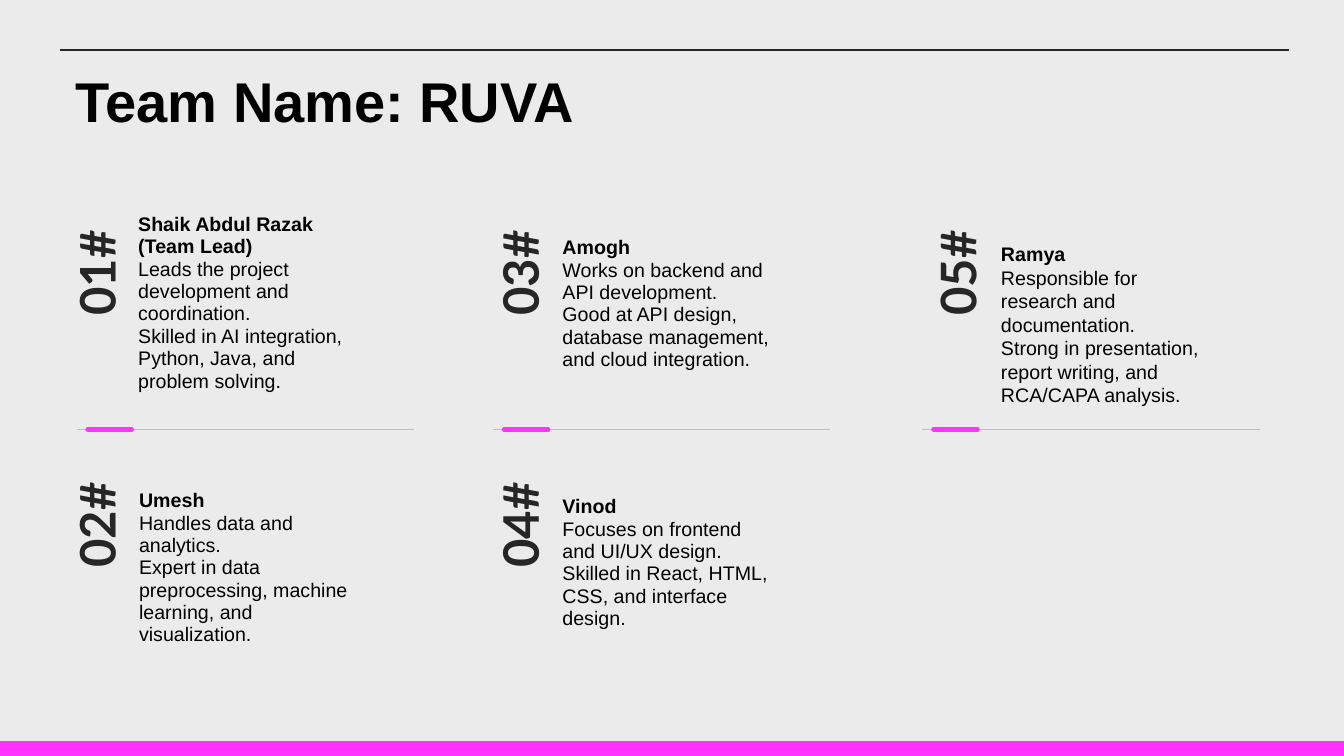
from dataclasses import dataclass

import pptx
import pptx.dml.color
import pptx.enum.dml
import pptx.enum.shapes
import pptx.enum.text
import pptx.oxml
import pptx.oxml.ns
import pptx.util
from lxml import etree


@dataclass(frozen=True)
class Theme:
    background: str = "EBEBEB"
    text: str = "000000"
    dark: str = "262626"
    rule: str = "BFBFBF"
    accent: str = "FF32FF"
    font: str = "Arial"
    number_font: str = "Lato"
    title_size: float = 40
    number_size: float = 35
    body_size: float = 14


class TeamSlide:
    """Lengths are percentages of the slide's width and height."""

    def __init__(self, prs, theme):
        self.prs, self.theme = prs, theme
        self.slide = prs.slides.add_slide(prs.slide_layouts[6])
        fill = self.slide.background.fill
        fill.solid()
        fill.fore_color.rgb = self.rgb(theme.background)

    def rgb(self, color):
        return pptx.dml.color.RGBColor.from_string(color)

    def x(self, share):
        return round(self.prs.slide_width * share / 100)

    def y(self, share):
        return round(self.prs.slide_height * share / 100)

    def box(self, left, top, width, height, size, font, color, margins=(0.1, 0.05)):
        sp = self.slide.shapes.add_textbox(
            self.x(left), self.y(top), self.x(width), self.y(height))
        tf = sp.text_frame
        tf.word_wrap = True
        tf.vertical_anchor = pptx.enum.text.MSO_ANCHOR.TOP
        tf.margin_left = tf.margin_right = pptx.util.Inches(margins[0])
        tf.margin_top = tf.margin_bottom = pptx.util.Inches(margins[1])
        p = tf.paragraphs[0]
        p.font.size = pptx.util.Pt(size)
        p.font.name = font
        p.font.color.rgb = self.rgb(color)
        return sp, p

    def title(self, text, left, top, width, height):
        t = self.theme
        _, p = self.box(left, top, width, height, t.title_size, t.font, t.text)
        p.font.bold = True
        p.add_run().text = text

    def number(self, text, left, top):
        t = self.theme
        sp, p = self.box(left, top, 8.78, 9.2, t.number_size, t.number_font, t.dark)
        sp.rotation = 270
        p.font.bold = True
        p.add_run().text = text

    def profile(self, name, lines, left, top, width, height, spacing):
        t = self.theme
        _, p = self.box(left, top, width, height, t.body_size, t.font, t.text, (0, 0))
        p.line_spacing = spacing
        r = p.add_run()
        r.text, r.font.bold = name, True
        for line in lines:
            p.add_line_break()
            p.add_run().text = line

    def line(self, left, top, length, color, weight, rounded=False):
        sp = self.slide.shapes.add_connector(
            pptx.enum.shapes.MSO_CONNECTOR.STRAIGHT,
            self.x(left), self.y(top), self.x(left + length), self.y(top))
        sp.line.color.rgb = self.rgb(color)
        sp.line.width = pptx.util.Pt(weight)
        if rounded:
            sp.line._get_or_add_ln().set("cap", "rnd")
        etree.SubElement(sp._element.spPr, pptx.oxml.ns.qn("a:effectLst"))

    def divider(self, left, top):
        self.line(left, top, 25.1, self.theme.rule, 0.75)
        self.line(left + 0.83, top, 3.27, self.theme.accent, 3.25, rounded=True)


NUMBER_COLUMNS = (2.78, 34.28, 66.83)
NUMBER_ROWS = (30.67, 64)
DIVIDER_COLUMNS = (5.7, 36.68, 68.63)

# Name, sentences, text box (left, top, width, height), line spacing
MEMBERS = [
    ("Shaik Abdul Razak (Team Lead)",
     ("Leads the project development and coordination.",
      "Skilled in AI integration, Python, Java, and problem solving."),
     (10.28, 28.27, 17.25, 23.87), 0.95),
    ("Umesh",
     ("Handles data and analytics.",
      "Expert in data preprocessing, machine learning, and visualization."),
     (10.35, 64.8, 16.05, 20.93), 0.95),
    ("Amogh",
     ("Works on backend and API development.",
      "Good at API design, database management, and cloud integration."),
     (41.85, 31.33, 16.05, 17.87), 0.95),
    ("Vinod",
     ("Focuses on frontend and UI/UX design.",
      "Skilled in React, HTML, CSS, and interface design."),
     (41.85, 65.6, 16.05, 17.87), 0.95),
    ("Ramya",
     ("Responsible for research and documentation.",
      "Strong in presentation, report writing, and RCA/CAPA analysis."),
     (74.48, 32, 16.05, 22), 1.0),
]


def main():
    prs = pptx.Presentation()
    prs.slide_width = pptx.util.Inches(13.33)
    prs.slide_height = pptx.util.Inches(7.5)
    theme = Theme()
    s = TeamSlide(prs, theme)

    # Title and frame lines
    s.title("Team Name: RUVA", 4.88, 8.13, 88.35, 19.33)
    s.line(4.43, 6.67, 91.5, theme.dark, 1.5)
    s.line(0, 99.07, 100, theme.accent, 12)

    # Members run down each column, two per column
    for i, (name, lines, place, spacing) in enumerate(MEMBERS):
        column, row = divmod(i, len(NUMBER_ROWS))
        s.profile(name, lines, *place, spacing)
        s.number(f"{i + 1:02}#", NUMBER_COLUMNS[column], NUMBER_ROWS[row])

    # Dividers between the rows
    for left in DIVIDER_COLUMNS:
        s.divider(left, 56.8)

    prs.save("out.pptx")


if __name__ == "__main__":
    main()
